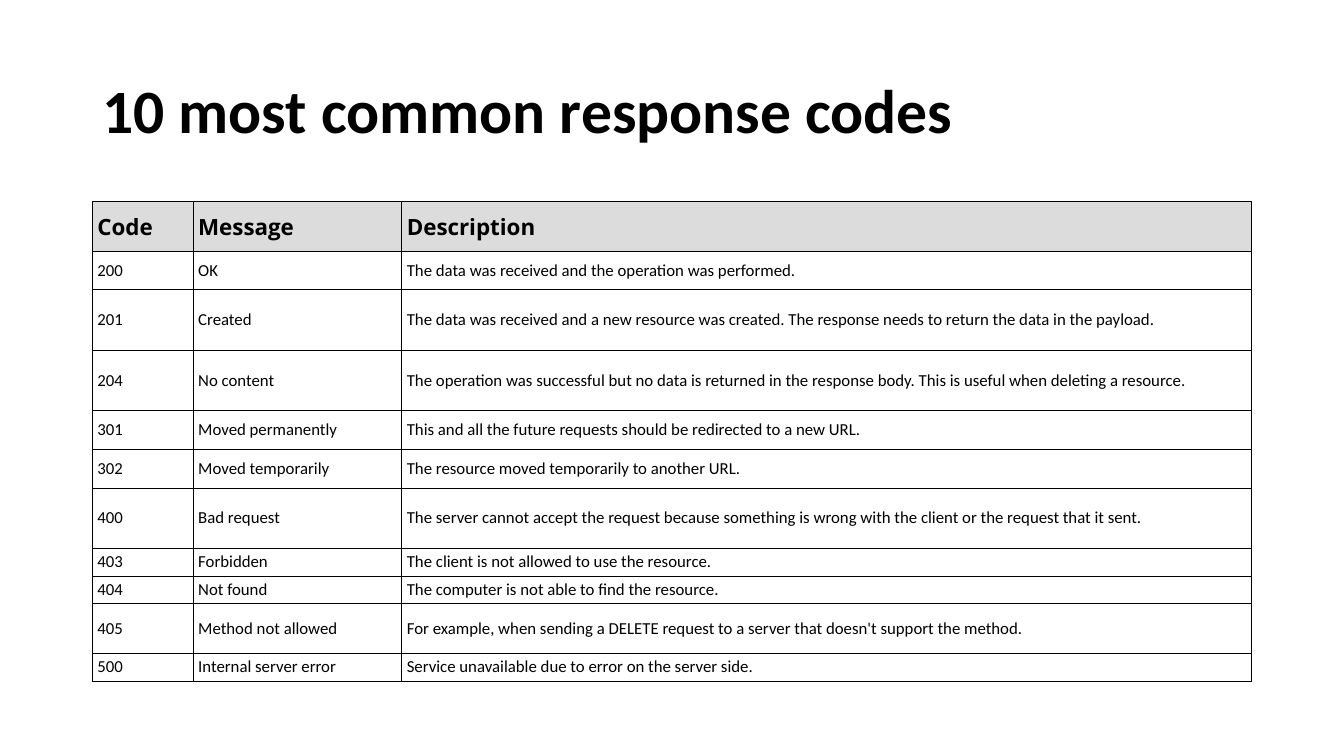
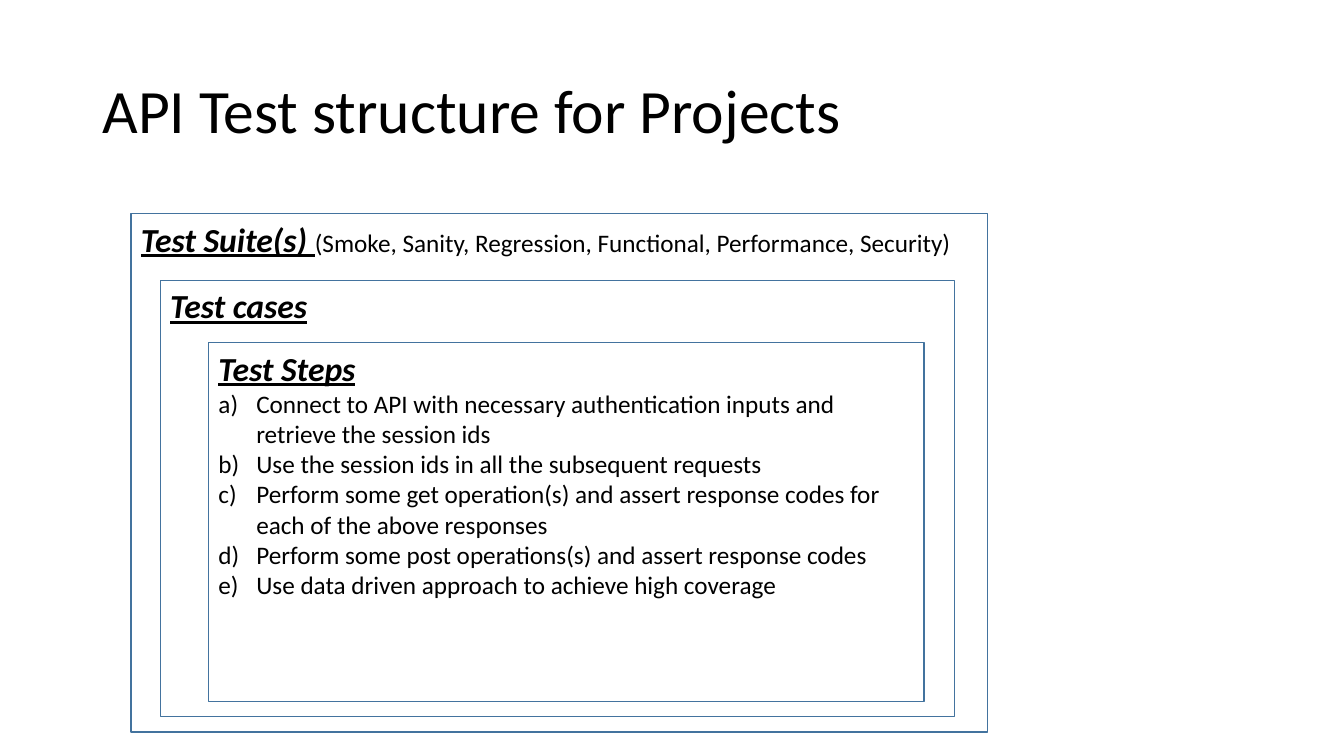
from dataclasses import dataclass

from lxml import etree
from pptx import Presentation
from pptx.dml.color import RGBColor
from pptx.enum.shapes import MSO_SHAPE
from pptx.enum.text import MSO_ANCHOR, MSO_AUTO_SIZE, PP_ALIGN
from pptx.oxml.ns import qn
from pptx.util import Pt

RECT = MSO_SHAPE.RECTANGLE
TOP, MIDDLE = MSO_ANCHOR.TOP, MSO_ANCHOR.MIDDLE
LEFT = PP_ALIGN.LEFT
NO_FIT = MSO_AUTO_SIZE.NONE
TITLE_ONLY = 5


# Colours, fonts and type sizes
@dataclass(frozen=True)
class Theme:
    text: str = "000000"
    border: str = "000000"
    header_fill: str = "DCDCDC"
    box_line: str = "43739E"
    font: str = "Calibri"
    header_font: str = "Open Sans"
    title_size: float = 44
    heading_size: float = 24
    body_size: float = 18
    header_size: float = 16
    cell_size: float = 12


class Deck:
    def __init__(self, prs, theme):
        self.prs, self.theme, self.s = prs, theme, None

    def run(self, p, text, size, font=None, bold=False, italic=False, underline=False):
        r = p.add_run()
        r.text = text
        f = r.font
        f.name, f.size = font or self.theme.font, Pt(size)
        f.bold, f.italic, f.underline = bold, italic, underline
        f.color.rgb = RGBColor.from_string(self.theme.text)

    def slide(self, title, bold=False):
        self.s = self.prs.slides.add_slide(self.prs.slide_layouts[TITLE_ONLY])
        sp = self.s.shapes.title
        sp.left, sp.top, sp.width, sp.height = Pt(66), Pt(28.8), Pt(828), Pt(104.4)
        tf = sp.text_frame
        tf.auto_size, tf.vertical_anchor = NO_FIT, MIDDLE
        p = tf.paragraphs[0]
        p.alignment, p.line_spacing = LEFT, 0.9
        self.run(p, title, self.theme.title_size, bold=bold)

    def borders(self, cell):
        tc_pr = cell._tc.get_or_add_tcPr()
        for side in ("lnL", "lnR", "lnT", "lnB"):
            ln = etree.SubElement(tc_pr, qn(f"a:{side}"), w=str(Pt(0.6)))
            fill = etree.SubElement(ln, qn("a:solidFill"))
            etree.SubElement(fill, qn("a:srgbClr"), val=self.theme.border)

    def cell(self, cell, text, header):
        th = self.theme
        cell.margin_left = cell.margin_right = Pt(3.6)
        cell.margin_top = cell.margin_bottom = Pt(2.2)
        cell.vertical_anchor = MIDDLE
        self.borders(cell)
        p = cell.text_frame.paragraphs[0]
        if header:
            cell.fill.solid()
            cell.fill.fore_color.rgb = RGBColor.from_string(th.header_fill)
            self.run(p, text, th.header_size, th.header_font, bold=True)
        else:
            cell.fill.background()
            self.run(p, text, th.cell_size)

    def table(self, left, top, widths, heights, rows):
        tbl = self.s.shapes.add_table(len(rows), len(widths), Pt(left), Pt(top),
                                      Pt(sum(widths)), Pt(sum(heights))).table
        tbl.horz_banding = False
        for col, width in zip(tbl.columns, widths):
            col.width = Pt(width)
        for i, (row, height, texts) in enumerate(zip(tbl.rows, heights, rows)):
            row.height = Pt(height)
            for cell, text in zip(row.cells, texts):
                self.cell(cell, text, header=i == 0)

    def box(self, left, top, width, height, heading, note="", steps=()):
        th = self.theme
        sp = self.s.shapes.add_shape(RECT, Pt(left), Pt(top), Pt(width), Pt(height))
        sp.shadow.inherit = False
        sp.fill.background()
        sp.line.color.rgb = RGBColor.from_string(th.box_line)
        sp.line.width = Pt(1)
        tf = sp.text_frame
        tf.word_wrap, tf.vertical_anchor = True, TOP
        p = tf.paragraphs[0]
        p.alignment = LEFT
        self.run(p, heading, th.heading_size, bold=True, italic=True, underline=True)
        if note:
            self.run(p, note, th.body_size)
        for step in steps:
            self.step(tf.add_paragraph(), step)

    def step(self, p, text):
        p.alignment = LEFT
        p_pr = p._p.get_or_add_pPr()
        p_pr.set("marL", str(Pt(27)))
        p_pr.set("indent", str(-Pt(27)))
        etree.SubElement(p_pr, qn("a:buFont"), typeface="+mj-lt")
        etree.SubElement(p_pr, qn("a:buAutoNum"), type="alphaLcParenR")
        self.run(p, text, self.theme.body_size)


prs = Presentation()
prs.slide_width, prs.slide_height = Pt(960), Pt(540)
deck = Deck(prs, Theme())

# Response codes: each row has its height and its three texts
SMALL, NORMAL, MEDIUM, TALL = 19.8, 27.6, 35.4, 43.2
CODES = [
    (MEDIUM, "Code", "Message", "Description"),
    (NORMAL, "200", "OK", "The data was received and the operation was performed."),
    (TALL, "201", "Created", "The data was received and a new resource was created. "
     "The response needs to return the data in the payload."),
    (TALL, "204", "No content", "The operation was successful but no data is returned "
     "in the response body. This is useful when deleting a resource."),
    (NORMAL, "301", "Moved permanently",
     "This and all the future requests should be redirected to a new URL."),
    (NORMAL, "302", "Moved temporarily", "The resource moved temporarily to another URL."),
    (TALL, "400", "Bad request", "The server cannot accept the request because something "
     "is wrong with the client or the request that it sent."),
    (SMALL, "403", "Forbidden", "The client is not allowed to use the resource."),
    (SMALL, "404", "Not found", "The computer is not able to find the resource."),
    (MEDIUM, "405", "Method not allowed", "For example, when sending a DELETE request "
     "to a server that doesn't support the method."),
    (SMALL, "500", "Internal server error",
     "Service unavailable due to error on the server side."),
]
deck.slide("10 most common response codes", bold=True)
deck.table(66, 144, (72, 149, 607), [row[0] for row in CODES], [row[1:] for row in CODES])

# Test structure: three nested boxes
deck.slide("API Test structure for Projects")
deck.box(93.6, 152.6, 612, 370.4, "Test Suite(s) ",
         note="(Smoke, Sanity, Regression, Functional, Performance, Security)")
deck.box(114.5, 200.2, 567.4, 311.8, "Test cases")
deck.box(149, 244.8, 511.2, 256.3, "Test Steps", steps=(
    "Connect to API with necessary authentication inputs and retrieve the session ids",
    "Use the session ids in all the subsequent requests",
    "Perform some get operation(s) and assert response codes for each of the above responses",
    "Perform some post operations(s) and assert response codes",
    "Use data driven approach to achieve high coverage",
))

prs.save("out.pptx")
